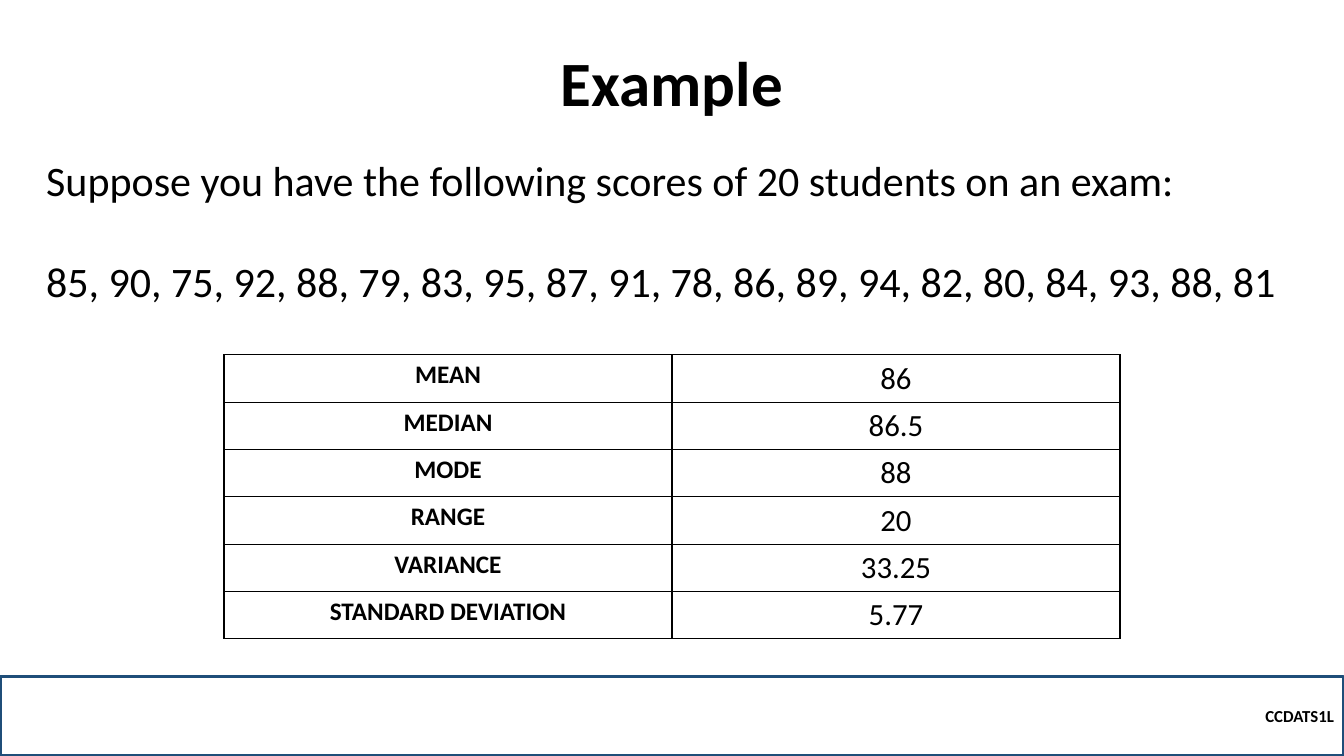
from lxml.etree import SubElement
from pptx import Presentation
from pptx.dml.color import RGBColor
from pptx.enum.shapes import MSO_SHAPE
from pptx.enum.text import MSO_ANCHOR, PP_ALIGN
from pptx.oxml.ns import qn
from pptx.util import Inches, Pt

TITLE = "Example"
INTRO = [
    "Suppose you have the following scores of 20 students on an exam:",
    "85, 90, 75, 92, 88, 79, 83, 95, 87, 91, 78, 86, 89, 94, 82, 80, 84, 93, 88, 81",
]
STATISTICS = [
    ("MEAN", "86"),
    ("MEDIAN", "86.5"),
    ("MODE", "88"),
    ("RANGE", "20"),
    ("VARIANCE", "33.25"),
    ("STANDARD DEVIATION", "5.77"),
]
COURSE = "CCDATS1L"

COLORS = {"text": "000000", "border": "000000", "footer": "1F4E79"}
FORMATS = {
    "title": {"size": Pt(45), "bold": True},
    "intro": {"size": Pt(30), "bold": False},
    "label": {"size": Pt(18), "bold": True},
    "value": {"size": Pt(22), "bold": False},
    "footer": {"size": Pt(12), "bold": True},
}
WIDTH, HEIGHT = 13.33, 7.5
FOOTER_H = 0.79
TABLE_W, TABLE_TOP, ROW_H = WIDTH * 2 / 3, 3.52, 0.47


def box(*lengths):
    return [Inches(v) for v in lengths]


def write(p, text, style, align):
    p.alignment = align
    r = p.add_run()
    r.text = text
    r.font.name = "Calibri"
    r.font.color.rgb = RGBColor.from_string(COLORS["text"])
    for name, value in FORMATS[style].items():
        setattr(r.font, name, value)


def outline(cell):
    tc_pr = cell._tc.get_or_add_tcPr()
    for side in ("a:lnL", "a:lnR", "a:lnT", "a:lnB"):
        ln = SubElement(tc_pr, qn(side), w=str(Pt(1)))
        fill = SubElement(ln, qn("a:solidFill"))
        SubElement(fill, qn("a:srgbClr"), val=COLORS["border"])
    cell.fill.background()


def add_title(s):
    sp = s.shapes.title
    sp.left, sp.top, sp.width, sp.height = box(1.23, 0.45, WIDTH - 2 * 1.23, 0.79)
    tf = sp.text_frame
    tf.vertical_anchor = MSO_ANCHOR.BOTTOM
    p = tf.paragraphs[0]
    p.line_spacing = 0.9
    write(p, TITLE, "title", PP_ALIGN.CENTER)


def add_footer(s):
    sp = s.shapes.add_shape(
        MSO_SHAPE.RECTANGLE, *box(0, HEIGHT - FOOTER_H, WIDTH, FOOTER_H))
    sp.shadow.inherit = False
    sp.fill.background()
    sp.line.color.rgb = RGBColor.from_string(COLORS["footer"])
    sp.line.width = Pt(2.25)
    tf = sp.text_frame
    tf.vertical_anchor = MSO_ANCHOR.MIDDLE
    p = tf.paragraphs[0]
    p.level = 1
    write(p, COURSE, "footer", PP_ALIGN.RIGHT)


def add_intro(s):
    tf = s.shapes.add_textbox(*box(0.36, 1.48, 12.62, 1.62)).text_frame
    tf.word_wrap = True
    for i, text in enumerate(INTRO):
        p = tf.add_paragraph() if i else tf.paragraphs[0]
        p.space_before = Pt(36.6 if i else 0)
        write(p, text, "intro", PP_ALIGN.LEFT)


def add_statistics(s):
    rows = len(STATISTICS)
    table = s.shapes.add_table(
        rows, 2,
        *box((WIDTH - TABLE_W) / 2, TABLE_TOP, TABLE_W, rows * ROW_H)).table
    table.first_row = table.horz_banding = False
    for i, row in enumerate(STATISTICS):
        for j, (text, style) in enumerate(zip(row, ("label", "value"))):
            cell = table.cell(i, j)
            outline(cell)
            write(cell.text_frame.paragraphs[0], text, style, PP_ALIGN.CENTER)


def main():
    prs = Presentation()
    prs.slide_width, prs.slide_height = box(WIDTH, HEIGHT)
    s = prs.slides.add_slide(prs.slide_layouts[5])
    add_title(s)
    add_footer(s)
    add_intro(s)
    add_statistics(s)
    prs.save("out.pptx")


if __name__ == "__main__":
    main()
